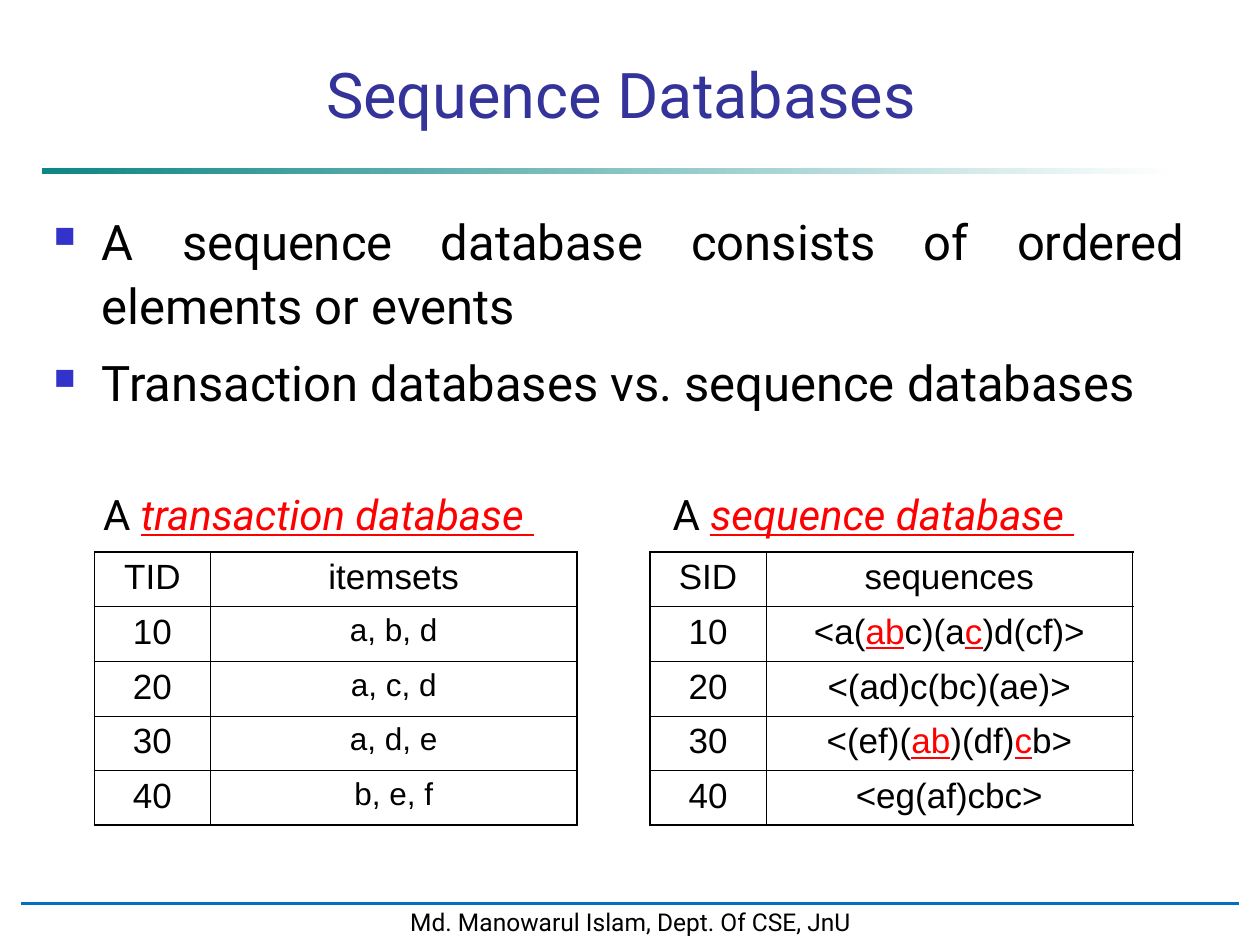
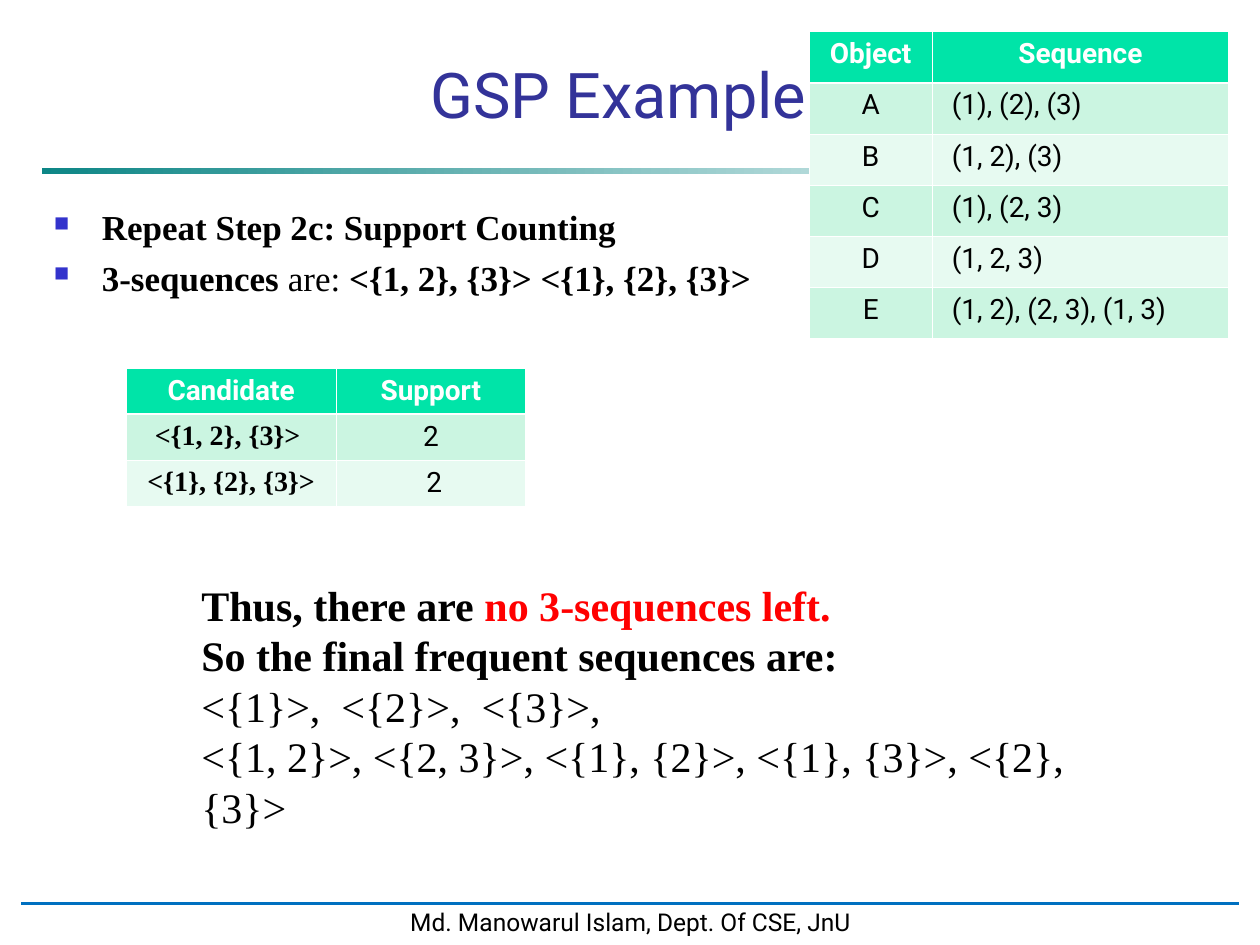
from lxml.etree import SubElement
from pptx import Presentation
from pptx.dml.color import RGBColor
from pptx.enum.shapes import MSO_CONNECTOR, MSO_SHAPE
from pptx.enum.text import MSO_ANCHOR, PP_ALIGN
from pptx.oxml.ns import qn
from pptx.util import Inches, Pt

BLACK = RGBColor(0x00, 0x00, 0x00)
WHITE = RGBColor(0xFF, 0xFF, 0xFF)
RED = RGBColor(0xFF, 0x00, 0x00)
TITLE_BLUE = RGBColor(0x33, 0x33, 0x99)
BULLET_BLUE = RGBColor(0x33, 0x33, 0xCC)
FOOTER_BLUE = RGBColor(0x00, 0x70, 0xC0)
TEAL = RGBColor(0x0D, 0x86, 0x86)
HEADER_GREEN = RGBColor(0x00, 0xE4, 0xA8)
BAND_GREENS = (RGBColor(0xE7, 0xFA, 0xF1), RGBColor(0xCB, 0xF5, 0xE1))

SANS = "Roboto"
SERIF = "Times New Roman"
TABLE_SANS = "Arial"
FOOTER = "Md. Manowarul Islam, Dept. Of CSE, JnU"

RED_UNDERLINED = {"color": RED, "underline": True}
SERIF_BOLD = {"font": SERIF, "bold": True}


def write_text(text_frame, paragraphs, align=PP_ALIGN.LEFT, bullets=False,
               space_before=0, line_spacing=None, **run_format):
    """Fill a frame; a paragraph is a string or a list of strings and (text, format) runs."""
    for index, content in enumerate(paragraphs):
        paragraph = text_frame.paragraphs[0] if index == 0 else text_frame.add_paragraph()
        if bullets:
            add_bullet(paragraph)
        paragraph.alignment = align
        if line_spacing:
            paragraph.line_spacing = line_spacing
        if index and space_before:
            paragraph.space_before = Pt(space_before)
        for part in [content] if isinstance(content, str) else content:
            text, changes = (part, {}) if isinstance(part, str) else part
            run = paragraph.add_run()
            run.text = text
            format_run(run, **{**run_format, **changes})


def format_run(run, size, font=SANS, color=BLACK, bold=False, italic=False, underline=False):
    run.font.name = font
    run.font.size = Pt(size)
    run.font.color.rgb = color
    run.font.bold = bold
    run.font.italic = italic
    run.font.underline = underline


def add_bullet(paragraph):
    properties = paragraph._p.get_or_add_pPr()
    properties.set("marL", str(Inches(0.38)))
    properties.set("indent", str(-Inches(0.38)))
    color = SubElement(properties, qn("a:buClr"))
    SubElement(color, qn("a:srgbClr"), val=str(BULLET_BLUE))
    SubElement(properties, qn("a:buSzPct"), val="60000")
    SubElement(properties, qn("a:buChar"), char="■")


def add_text(slide, left, top, width, height, paragraphs, anchor=MSO_ANCHOR.TOP, **text_format):
    box = slide.shapes.add_textbox(Inches(left), Inches(top), Inches(width), Inches(height))
    box.text_frame.word_wrap = True
    box.text_frame.vertical_anchor = anchor
    write_text(box.text_frame, paragraphs, **text_format)


def add_rectangle(slide, left, top, width, height):
    rectangle = slide.shapes.add_shape(MSO_SHAPE.RECTANGLE, Inches(left), Inches(top),
                                       Inches(width), Inches(height))
    rectangle.shadow.inherit = False
    return rectangle


def add_title_rule(slide):
    rule = add_rectangle(slide, 0.33, 1.33, 9, 0.05)
    rule.line.fill.background()
    rule.fill.gradient()
    rule.fill.gradient_angle = 0
    for stop, color in zip(rule.fill.gradient_stops, (TEAL, WHITE)):
        stop.color.rgb = color


def add_footer(slide):
    band = add_rectangle(slide, 0.17, 7.15, 9.67, 0.33)
    band.fill.solid()
    band.fill.fore_color.rgb = WHITE
    band.line.color.rgb = WHITE
    band.line.width = Pt(2)
    band.text_frame.word_wrap = False
    write_text(band.text_frame, [FOOTER], align=PP_ALIGN.CENTER, size=14)

    line = slide.shapes.add_connector(MSO_CONNECTOR.STRAIGHT, Inches(0.17), Inches(7.17),
                                      Inches(9.83), Inches(7.17))
    line.line.color.rgb = FOOTER_BLUE
    line.line.width = Pt(1.75)
    SubElement(line._element.spPr, qn("a:effectLst"))


def add_slide(presentation, title, title_left, title_width):
    slide = presentation.slides.add_slide(presentation.slide_layouts[6])
    add_title_rule(slide)
    add_footer(slide)
    add_text(slide, title_left, 0.42, title_width, 0.67, [title], anchor=MSO_ANCHOR.BOTTOM,
             align=PP_ALIGN.CENTER, size=36, color=TITLE_BLUE)
    return slide


def set_borders(cell, color, left, right, top, bottom):
    """Draw the four sides of a cell, with widths in points."""
    properties = cell._tc.get_or_add_tcPr()
    for side, width in zip("LRTB", (left, right, top, bottom)):
        line = SubElement(properties, qn(f"a:ln{side}"), w=str(Pt(width)))
        fill = SubElement(line, qn("a:solidFill"))
        SubElement(fill, qn("a:srgbClr"), val=str(color))


def add_plain_table(slide, left, top, column_widths, height, row_count):
    table = slide.shapes.add_table(row_count, len(column_widths), Inches(left), Inches(top),
                                   Inches(sum(column_widths)), Inches(height)).table
    table.first_row = table.horz_banding = False
    for column, width in zip(table.columns, column_widths):
        column.width = Inches(width)
    return table


def add_grid_table(slide, left, rows, value_size):
    """Black grid with a heavier frame; value_size applies below the header."""
    thin, thick = 0.45, 1.08
    table = add_plain_table(slide, left, 4.38, (0.92, 2.91), 2.17, len(rows))
    last = len(rows) - 1
    for row, contents in enumerate(rows):
        for column, content in enumerate(contents):
            cell = table.cell(row, column)
            set_borders(cell, BLACK,
                        left=thin if column else thick,
                        right=thick if column else thin,
                        top=thin if row else thick,
                        bottom=thick if row == last else thin)
            cell.fill.background()
            write_text(cell.text_frame, [content], align=PP_ALIGN.CENTER, font=TABLE_SANS,
                       size=value_size if row and column else 20)


def add_banded_table(slide, left, top, column_widths, height, rows, aligns, first_format):
    """Green bands under a header; first_format applies to the first column's values."""
    thin, thick = 0.45, 1.47
    table = add_plain_table(slide, left, top, column_widths, height, len(rows))
    for row, contents in enumerate(rows):
        for column, content in enumerate(contents):
            cell = table.cell(row, column)
            set_borders(cell, WHITE, left=thin, right=thin,
                        top=thick if row == 1 else thin,
                        bottom=thin if row else thick)
            cell.fill.solid()
            cell.fill.fore_color.rgb = BAND_GREENS[row % 2] if row else HEADER_GREEN
            if row == 0:
                text_format = {"color": WHITE, "bold": True}
            else:
                text_format = {} if column else first_format
            write_text(cell.text_frame, [content], size=16,
                       align=aligns[column] if row else PP_ALIGN.CENTER, **text_format)


def add_database(slide, left, label_left, label_width, name, rows, value_size):
    add_text(slide, label_left, 3.83, label_width, 0.5,
             [["A ", (f"{name} ", {**RED_UNDERLINED, "italic": True})]], size=24)
    add_grid_table(slide, left, rows, value_size)


def build_sequence_databases(presentation):
    slide = add_slide(presentation, "Sequence Databases", 0.67, 8.52)
    add_text(slide, 0.33, 1.58, 9.17, 5.5,
             ["A sequence database consists of ordered elements or events",
              "Transaction databases vs. sequence databases"],
             align=PP_ALIGN.JUSTIFY, bullets=True, space_before=7, line_spacing=1.1, size=28)

    sequences = [
        ("SID", "sequences"),
        ("10", ["<a(", ("ab", RED_UNDERLINED), "c)(a", ("c", RED_UNDERLINED), ")d(cf)>"]),
        ("20", "<(ad)c(bc)(ae)>"),
        ("30", ["<(ef)(", ("ab", RED_UNDERLINED), ")(df)", ("c", RED_UNDERLINED), "b>"]),
        ("40", "<eg(af)cbc>"),
    ]
    transactions = [("TID", "itemsets"), ("10", "a, b, d"), ("20", "a, c, d"),
                    ("30", "a, d, e"), ("40", "b, e, f")]
    add_database(slide, 5.16, 5.24, 3.42, "sequence database", sequences, 20)
    add_database(slide, 0.75, 0.72, 3.73, "transaction database", transactions, 18)


def build_gsp_example(presentation):
    slide = add_slide(presentation, " GSP Example", 0.5, 8.69)
    add_text(slide, 0.33, 1.58, 5.83, 1.42,
             ["Repeat Step 2c: Support Counting",
              ["3-sequences ", ("are: ", {"bold": False}), "<{1, 2}, {3}> <{1}, {2}, {3}>"]],
             align=PP_ALIGN.JUSTIFY, bullets=True, space_before=5, size=20, **SERIF_BOLD)

    objects = [("Object", "Sequence"), ("A", " (1), (2), (3)"), ("B", " (1, 2), (3)"),
               ("C", " (1), (2, 3)"), ("D", " (1, 2, 3)"), ("E", " (1, 2), (2, 3), (1, 3)")]
    add_banded_table(slide, 6.42, 0.25, (0.98, 2.35), 2.44, objects,
                     (PP_ALIGN.CENTER, PP_ALIGN.LEFT), {})

    candidates = [("Candidate", "Support"), ("<{1, 2}, {3}> ", "2"), ("<{1}, {2}, {3}>", " 2")]
    add_banded_table(slide, 1, 2.92, (1.67, 1.5), 1.1, candidates,
                     (PP_ALIGN.CENTER, PP_ALIGN.CENTER), SERIF_BOLD)

    regular = {"bold": False}
    add_text(slide, 1.5, 4.55, 7.17, 2.1,
             [["Thus, there are ", ("no 3-sequences left.", {"color": RED})],
              "So the final frequent sequences are:",
              [("<{1}>,  <{2}>,  <{3}>,", regular)],
              [("<{1, 2}>, <{2, 3}>, <{1}, {2}>, <{1}, {3}>, <{2}, {3}>", regular)]],
             size=24, **SERIF_BOLD)


def main():
    presentation = Presentation()
    presentation.slide_width = Inches(10)
    presentation.slide_height = Inches(7.5)
    build_sequence_databases(presentation)
    build_gsp_example(presentation)
    presentation.save("out.pptx")


if __name__ == "__main__":
    main()
